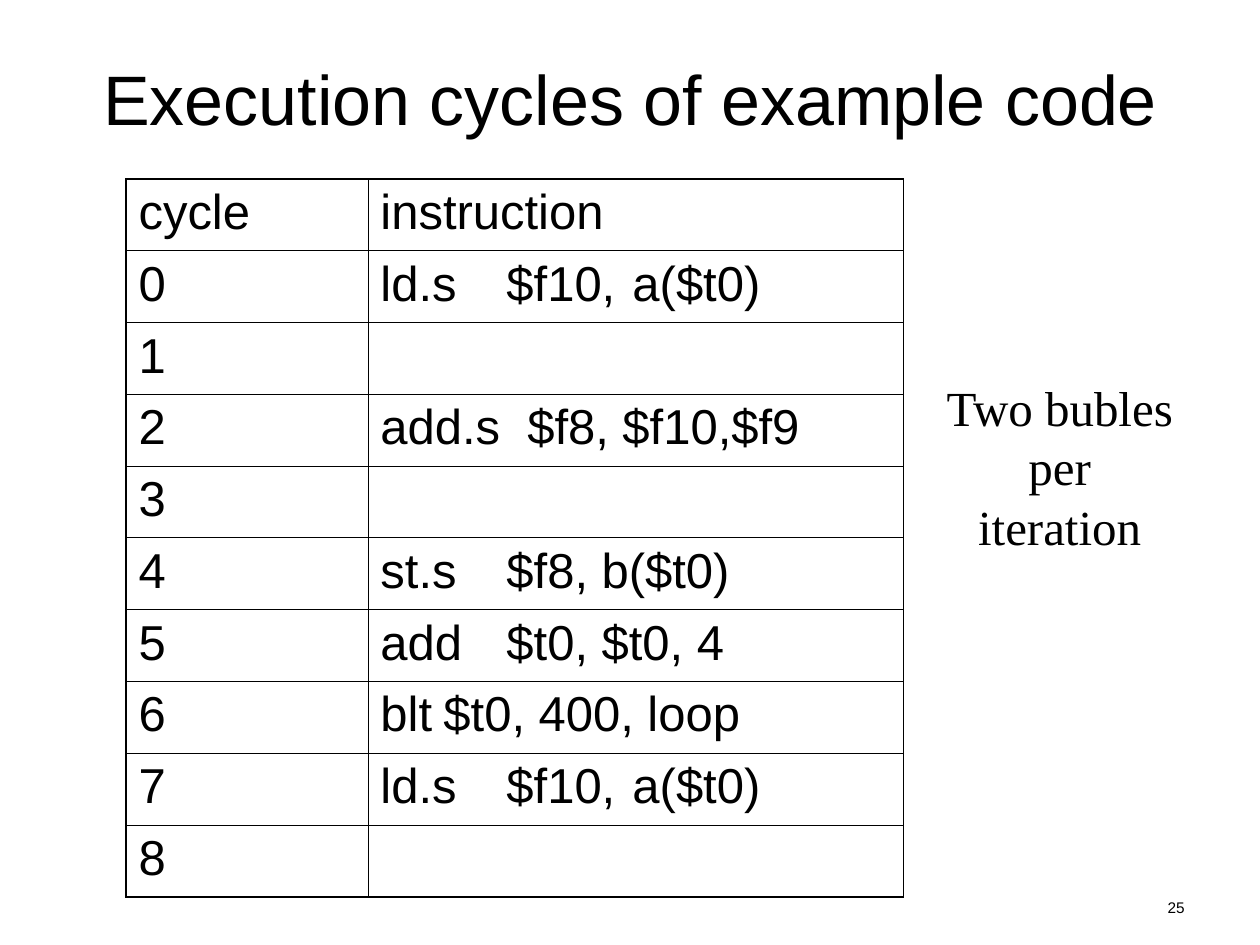
from lxml.etree import SubElement
from pptx import Presentation
from pptx.dml.color import RGBColor
from pptx.enum.text import MSO_ANCHOR, PP_ALIGN
from pptx.oxml.ns import qn
from pptx.util import Inches, Pt

BLACK = RGBColor(0, 0, 0)
THICK, THIN = Pt(1.08), Pt(0.45)

# Content
TITLE = "Execution cycles of example code"
NOTE = ["Two bubles", "per iteration"]
PAGE_NUMBER = "25"
ROWS = [
    ("cycle", "instruction"),
    ("0", "ld.s\t$f10,\ta($t0)"),
    ("1", ""),
    ("2", "add.s  $f8, $f10,$f9"),
    ("3", ""),
    ("4", "st.s\t$f8, b($t0)"),
    ("5", "add\t$t0, $t0, 4"),
    ("6", "blt\t$t0, 400, loop"),
    ("7", "ld.s\t$f10,\ta($t0)"),
    ("8", ""),
]
COLUMN_WIDTHS = [1.92, 4.25]
TABLE_HEIGHT = 5.7


def style_font(paragraph, size, name="Arial"):
    paragraph.font.size = Pt(size)
    paragraph.font.name = name
    paragraph.font.color.rgb = BLACK


def add_text(slide, box, lines, size, alignment, name="Arial",
             anchor=MSO_ANCHOR.TOP, wrap=True, line_spacing=None):
    shape = slide.shapes.add_textbox(*map(Inches, box))
    frame = shape.text_frame
    frame.word_wrap = wrap
    frame.vertical_anchor = anchor
    frame.text = "\n".join(lines)
    for paragraph in frame.paragraphs:
        paragraph.alignment = alignment
        paragraph.line_spacing = line_spacing
        style_font(paragraph, size, name)


def set_borders(cell, widths):
    properties = cell._tc.get_or_add_tcPr()
    for index, (side, width) in enumerate(widths.items()):
        line = properties.makeelement(qn(f"a:{side}"), {"w": str(int(width))})
        properties.insert(index, line)
        fill = SubElement(line, qn("a:solidFill"))
        SubElement(fill, qn("a:srgbClr"), val=str(BLACK))


presentation = Presentation()
presentation.slide_width, presentation.slide_height = Inches(10), Inches(7.5)
slide = presentation.slides.add_slide(presentation.slide_layouts[6])

# Page number and title
add_text(slide, (7.17, 7.08, 2.33, 0.27), [PAGE_NUMBER], 8.8, PP_ALIGN.RIGHT)
add_text(slide, (0.5, 0.3, 9, 0.95), [TITLE], 40, PP_ALIGN.CENTER,
         anchor=MSO_ANCHOR.MIDDLE)

# Cycle table: thick outer frame, thin inner lines
row_count, column_count = len(ROWS), len(COLUMN_WIDTHS)
table = slide.shapes.add_table(
    row_count, column_count, Inches(1), Inches(1.42),
    Inches(sum(COLUMN_WIDTHS)), Inches(TABLE_HEIGHT)).table
table.first_row = table.horz_banding = False
for column, width in zip(table.columns, COLUMN_WIDTHS):
    column.width = Inches(width)
for row_index, values in enumerate(ROWS):
    table.rows[row_index].height = Inches(TABLE_HEIGHT / row_count)
    for column_index, value in enumerate(values):
        cell = table.cell(row_index, column_index)
        cell.fill.background()
        cell.text = value
        paragraph = cell.text_frame.paragraphs[0]
        paragraph.space_before = Pt(7)
        style_font(paragraph, 28)
        set_borders(cell, {
            "lnL": THICK if column_index == 0 else THIN,
            "lnR": THICK if column_index == column_count - 1 else THIN,
            "lnT": THICK if row_index == 0 else THIN,
            "lnB": THICK if row_index == row_count - 1 else THIN,
        })

# Side note
add_text(slide, (7.37, 2.94, 2.08, 1.04), NOTE, 28, PP_ALIGN.CENTER,
         name="Times New Roman", wrap=False, line_spacing=Pt(34))

presentation.save("out.pptx")
